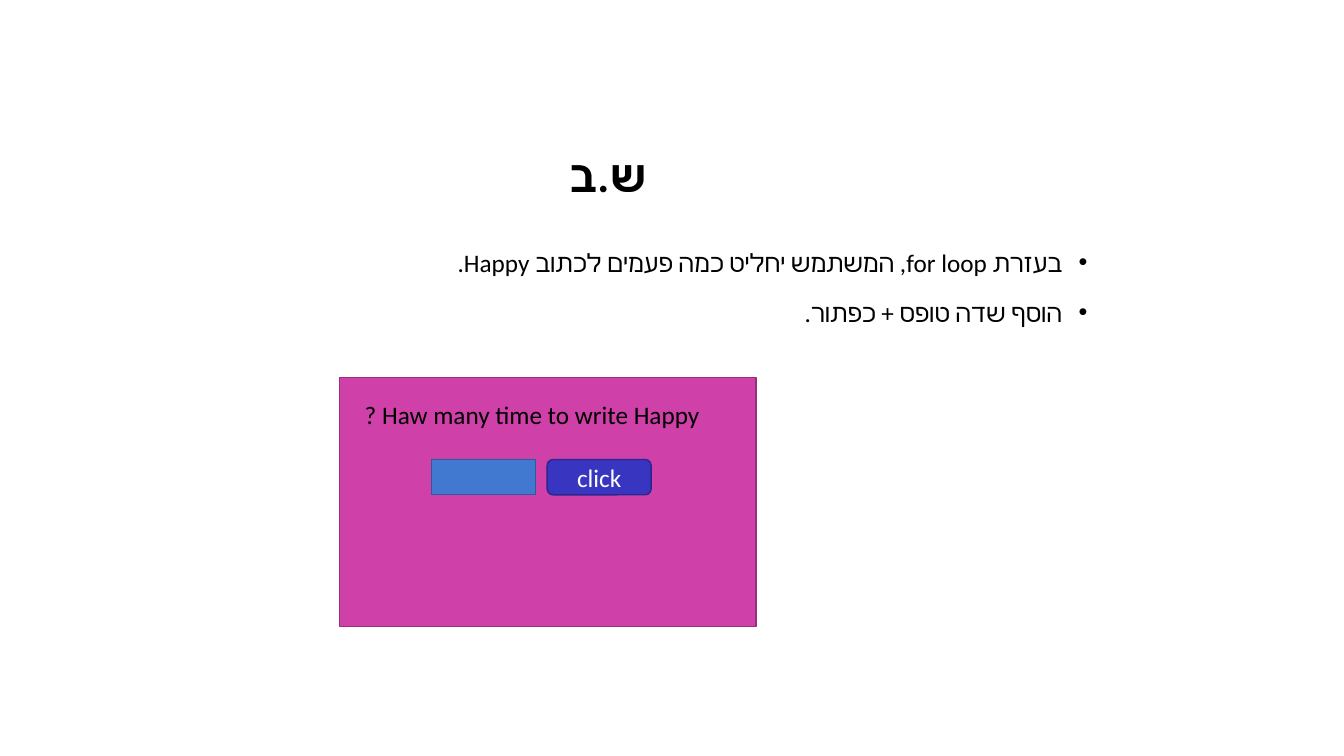
from pptx import Presentation
from pptx.dml.color import RGBColor
from pptx.enum.shapes import MSO_SHAPE
from pptx.enum.text import MSO_ANCHOR, MSO_AUTO_SIZE, PP_ALIGN
from pptx.util import Cm, Pt
from lxml.etree import SubElement
from pptx.oxml.ns import qn

BLACK = RGBColor(0x00, 0x00, 0x00)
WHITE = RGBColor(0xFF, 0xFF, 0xFF)
PINK = RGBColor(0xCF, 0x40, 0xA8)
PINK_EDGE = RGBColor(0x99, 0x2F, 0x7C)
BLUE = RGBColor(0x40, 0x79, 0xCF)
BLUE_EDGE = RGBColor(0x2F, 0x5A, 0x99)
INDIGO = RGBColor(0x38, 0x35, 0xC0)
INDIGO_EDGE = RGBColor(0x29, 0x27, 0x8E)


def write(paragraph, text, size=18, color=BLACK, bold=False, align=PP_ALIGN.RIGHT, rtl=True):
    run = paragraph.add_run()
    run.text = text
    run.font.name = "Calibri"
    run.font.size = Pt(size)
    run.font.bold = bold
    run.font.color.rgb = color
    SubElement(run.font._element, qn("a:cs"), typeface="Calibri")
    paragraph.alignment = align
    if rtl:
        paragraph._p.get_or_add_pPr().set("rtl", "1")


def place(part, left, top, width, height):
    part.left, part.top, part.width, part.height = Cm(left), Cm(top), Cm(width), Cm(height)


presentation = Presentation()
presentation.slide_width = Cm(33.87)
presentation.slide_height = Cm(19.05)
slide = presentation.slides.add_slide(presentation.slide_layouts[1])

heading = slide.shapes.title
place(heading, 2.97, 2.59, 24.69, 2.64)
heading.text_frame.vertical_anchor = MSO_ANCHOR.BOTTOM
heading_line = heading.text_frame.paragraphs[0]
heading_line.line_spacing = 0.9
write(heading_line, "ש.ב", size=32, bold=True, align=PP_ALIGN.CENTER, rtl=False)

tasks = slide.placeholders[1]
place(tasks, 2.97, 5.94, 24.69, 10.21)
for index, task in enumerate([
    "בעזרת for loop, המשתמש יחליט כמה פעמים לכתוב Happy.",
    "הוסף שדה טופס + כפתור.",
]):
    line = tasks.text_frame.paragraphs[0] if index == 0 else tasks.text_frame.add_paragraph()
    write(line, task)
    line.line_spacing = 1.2
    line.space_before = Pt(10)
    properties = line._p.get_or_add_pPr()
    properties.set("marL", str(Cm(0.635)))
    properties.set("indent", str(-Cm(0.635)))
    SubElement(properties, qn("a:buFont"), typeface="Arial")
    SubElement(properties, qn("a:buChar"), char="•")

for kind, left, top, width, height, fill, edge, label in [
    (MSO_SHAPE.FLOWCHART_PROCESS, 8.56, 9.52, 10.49, 6.27, PINK, PINK_EDGE, ""),
    (MSO_SHAPE.RECTANGLE, 10.87, 11.58, 2.62, 0.89, BLUE, BLUE_EDGE, ""),
    (MSO_SHAPE.ROUNDED_RECTANGLE, 13.79, 11.58, 2.62, 0.89, INDIGO, INDIGO_EDGE, "click"),
]:
    form_part = slide.shapes.add_shape(kind, Cm(left), Cm(top), Cm(width), Cm(height))
    form_part.shadow.inherit = False
    form_part.fill.solid()
    form_part.fill.fore_color.rgb = fill
    form_part.line.color.rgb = edge
    form_part.line.width = Pt(1)
    if label:
        form_part.text_frame.vertical_anchor = MSO_ANCHOR.MIDDLE
        write(form_part.text_frame.paragraphs[0], label, color=WHITE, align=PP_ALIGN.CENTER)

question = slide.shapes.add_textbox(Cm(8.92), Cm(9.93), Cm(10.13), Cm(1.02)).text_frame
question.word_wrap = False
question.auto_size = MSO_AUTO_SIZE.SHAPE_TO_FIT_TEXT
question.margin_right = Cm(1.42)
write(question.paragraphs[0], "Haw many time to write Happy ?")

presentation.save("out.pptx")
